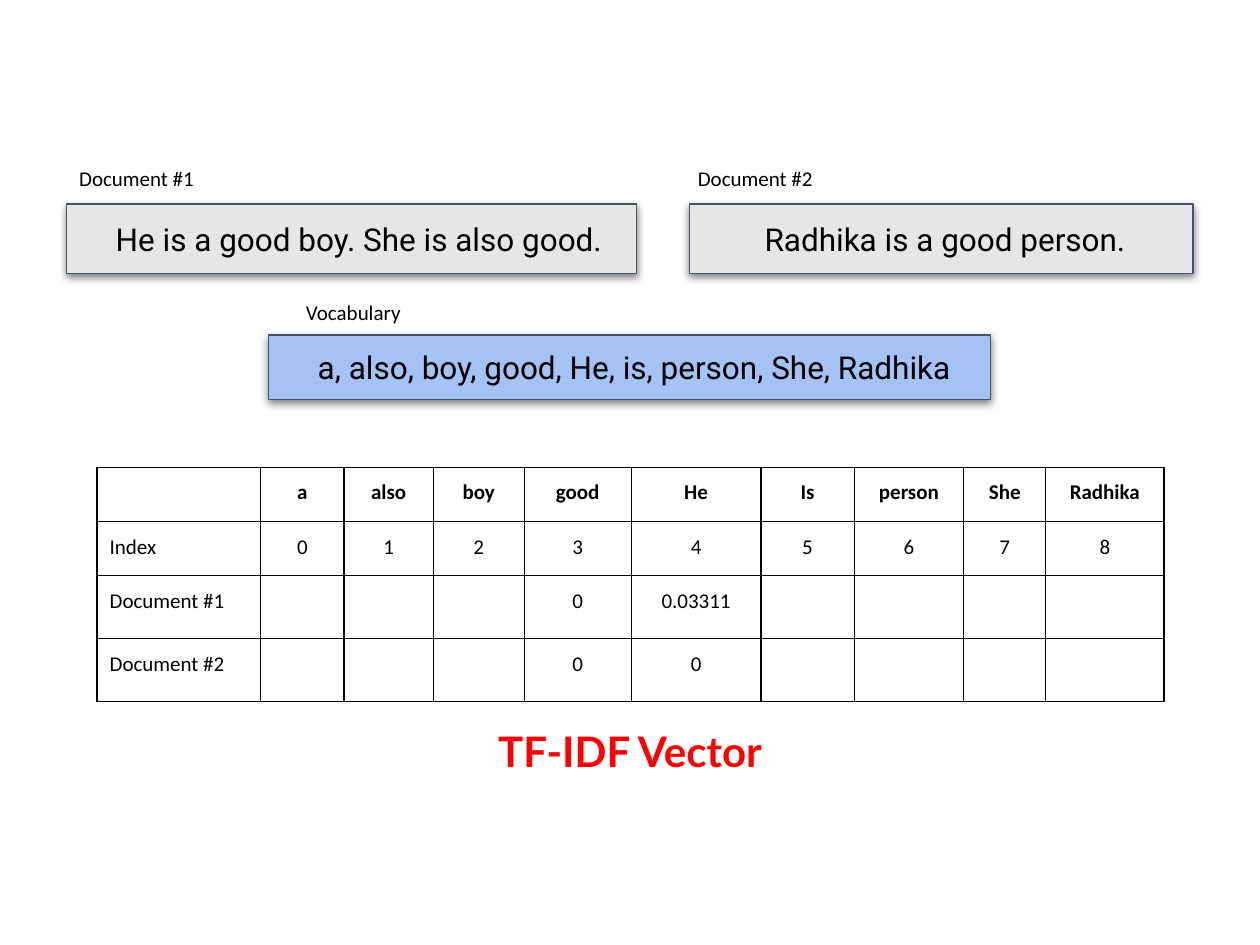
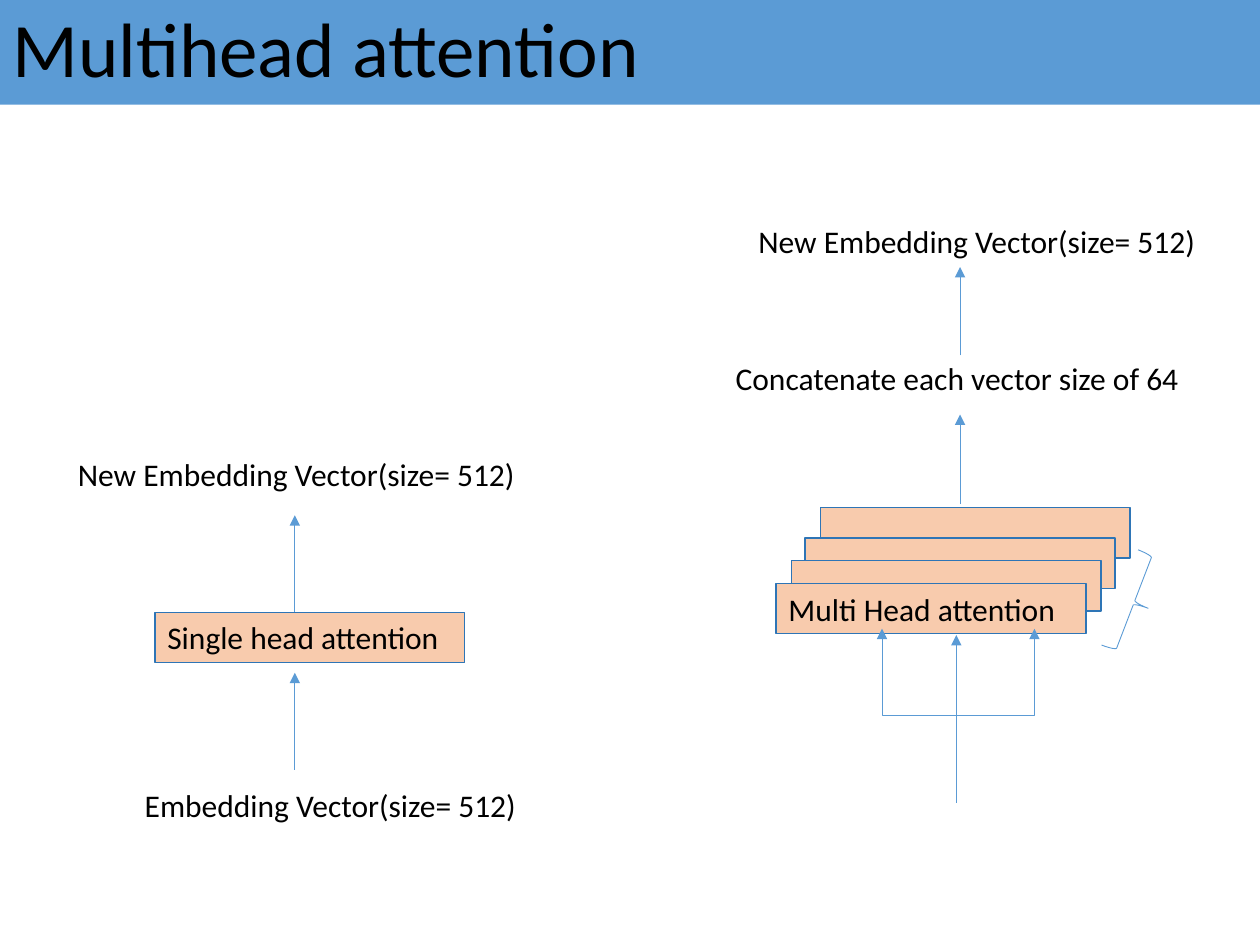
from lxml import etree
from pptx import Presentation
from pptx.dml.color import RGBColor
from pptx.enum.shapes import MSO_CONNECTOR, MSO_SHAPE
from pptx.enum.text import MSO_ANCHOR, PP_ALIGN
from pptx.oxml.ns import qn
from pptx.util import Inches, Pt

RECTANGLE, BRACE = MSO_SHAPE.RECTANGLE, MSO_SHAPE.RIGHT_BRACE
STRAIGHT, ELBOW = MSO_CONNECTOR.STRAIGHT, MSO_CONNECTOR.ELBOW
TOP, MIDDLE = MSO_ANCHOR.TOP, MSO_ANCHOR.MIDDLE
LEFT, CENTER = PP_ALIGN.LEFT, PP_ALIGN.CENTER

BLACK, RED = "000000", "FF0000"
BAND_BLUE, EDGE_BLUE, PEACH = "5B9BD5", "2E75B6", "F8CBAD"
GREY, PALE_BLUE, SLATE = "E7E6E6", "A4C2F4", "44546A"

CAPTION = {"size": Pt(12), "name": "Calibri", "bold": False}
HEADER = {**CAPTION, "bold": True}
SENTENCE = {"size": Pt(18), "name": "Roboto"}
LABEL = {"size": Pt(18), "name": "Calibri"}
TITLE = {"size": Pt(44), "name": "Calibri"}
RESULT = {"size": Pt(24), "name": "Lato", "bold": True}

COLUMN_WIDTHS = [1.3, 0.66, 0.71, 0.72, 0.85, 1.03, 0.74, 0.87, 0.65, 0.94]
ROW_HEIGHTS = [0.43, 0.43, 0.5, 0.5]
SCORES = [
    ["", "a", "also", "boy", "good", "He", "Is", "person", "She", "Radhika"],
    ["Index", *map(str, range(9))],
    ["Document #1", "", "", "", "0", "0.03311", "", "", "", ""],
    ["Document #2", "", "", "", "0", "0", "", "", "", ""],
]


def rgb(hex_color):
    """Turn a hex string into a colour."""
    return RGBColor.from_string(hex_color)


def set_line(line, color, width):
    """Give an outline its colour and width in points."""
    line.color.rgb = rgb(color)
    line.width = Pt(width)


def write(paragraph, text, font_format, color=BLACK, align=LEFT):
    """Write one formatted run into a paragraph."""
    paragraph.alignment = align
    run = paragraph.add_run()
    run.text = text
    for attribute, value in font_format.items():
        setattr(run.font, attribute, value)
    run.font.color.rgb = rgb(color)


def set_frame(frame, anchor=TOP, inset=0.1, wrap=True):
    """Set anchor, vertical and side insets, and wrapping of a text frame."""
    settings = {
        "vertical_anchor": anchor, "word_wrap": wrap,
        "margin_left": Inches(0.1), "margin_right": Inches(0.1),
        "margin_top": Inches(inset), "margin_bottom": Inches(inset),
    }
    for attribute, value in settings.items():
        setattr(frame, attribute, value)


def add_text(slide, at, text, font_format, color=BLACK, align=LEFT, **frame_settings):
    """Add a text box with one paragraph."""
    frame = slide.shapes.add_textbox(*map(Inches, at)).text_frame
    set_frame(frame, **frame_settings)
    write(frame.paragraphs[0], text, font_format, color, align)


def add_box(slide, at, fill, edge=None):
    """Add a filled rectangle, outlined if an edge colour is given."""
    box = slide.shapes.add_shape(RECTANGLE, *map(Inches, at))
    box.shadow.inherit = False
    box.fill.solid()
    box.fill.fore_color.rgb = rgb(fill)
    if edge:
        set_line(box.line, edge, 0.75)
    else:
        box.line.fill.background()
    return box


def add_sentence(slide, at, text, fill, indent, align=LEFT):
    """Add a shadowed box holding an indented sentence."""
    box = add_box(slide, at, fill, SLATE)
    effects = box._element.spPr.find(qn("a:effectLst"))
    shadow = etree.SubElement(effects, qn("a:outerShdw"), blurRad=str(Pt(4.5)),
                              dist=str(Pt(1.5)), dir="5400000", rotWithShape="0")
    shade = etree.SubElement(shadow, qn("a:srgbClr"), val=BLACK)
    etree.SubElement(shade, qn("a:alpha"), val="50000")
    set_frame(box.text_frame, MIDDLE)
    paragraph = box.text_frame.paragraphs[0]
    write(paragraph, text, SENTENCE, align=align)
    paragraph._p.get_or_add_pPr().set("indent", str(Inches(indent)))


def add_head(slide, left, top, text=""):
    """Add an attention head block, labelled if text is given."""
    head = add_box(slide, (left, top, 2.46, 0.4), PEACH, EDGE_BLUE)
    if text:
        set_frame(head.text_frame, inset=0.05)
        write(head.text_frame.paragraphs[0], text, LABEL)


def add_arrow(slide, start, end, kind=STRAIGHT):
    """Add a thin connector with an arrowhead at its end."""
    arrow = slide.shapes.add_connector(kind, *map(Inches, (*start, *end)))
    set_line(arrow.line, BAND_BLUE, 0.5)
    etree.SubElement(arrow.line._get_or_add_ln(), qn("a:tailEnd"), type="triangle")
    etree.SubElement(arrow._element.spPr, qn("a:effectLst"))
    return arrow


def add_branch(slide, start, end):
    """Add an elbow arrow that leaves upwards, by turning a sideways one."""
    (x1, y1), (x2, y2) = start, end
    middle_x, middle_y = (x1 + x2) / 2, (y1 + y2) / 2
    half_rise, half_shift = (y1 - y2) / 2, (x2 - x1) / 2
    branch = add_arrow(slide, (middle_x - half_rise, middle_y - half_shift),
                       (middle_x + half_rise, middle_y + half_shift), ELBOW)
    branch._element.spPr.find(qn("a:xfrm")).set("rot", "16200000")


def add_borders(cell):
    """Draw a black line on each side of a table cell."""
    properties = cell._tc.get_or_add_tcPr()
    for side in ("lnL", "lnR", "lnT", "lnB"):
        border = etree.SubElement(properties, qn(f"a:{side}"), w=str(Pt(0.75)))
        ink = etree.SubElement(border, qn("a:solidFill"))
        etree.SubElement(ink, qn("a:srgbClr"), val=BLACK)


def add_scores(slide, left, top):
    """Add the table of scores per word and document."""
    size = sum(COLUMN_WIDTHS), sum(ROW_HEIGHTS)
    table = slide.shapes.add_table(len(ROW_HEIGHTS), len(COLUMN_WIDTHS),
                                   *map(Inches, (left, top, *size))).table
    table.first_row = table.horz_banding = False
    for column, width in zip(table.columns, COLUMN_WIDTHS):
        column.width = Inches(width)
    for row_index, (row, height) in enumerate(zip(table.rows, ROW_HEIGHTS)):
        row.height = Inches(height)
        for column_index, text in enumerate(SCORES[row_index]):
            cell = row.cells[column_index]
            add_borders(cell)
            cell.fill.background()
            if text:
                cell.margin_top = cell.margin_bottom = Inches(0.1)
                write(cell.text_frame.paragraphs[0], text,
                      CAPTION if row_index else HEADER,
                      align=CENTER if column_index else LEFT)


def add_title(slide, text):
    """Add the blue title band."""
    band = add_box(slide, (0, -0.01, 10, 0.84), BAND_BLUE)
    set_frame(band.text_frame)
    paragraph = band.text_frame.paragraphs[0]
    paragraph.line_spacing = 0.9
    write(paragraph, text, TITLE)


def add_brace(slide, at, angle):
    """Add a turned brace beside the stacked heads."""
    brace = slide.shapes.add_shape(BRACE, *map(Inches, at))
    brace.shadow.inherit = False
    brace.fill.background()
    set_line(brace.line, BAND_BLUE, 0.5)
    brace.rotation = angle


def build_vector_slide(slide):
    """Show two documents, their vocabulary and the score table."""
    for left, top, caption in [(0.53, 1.21, "Document #1"), (5.44, 1.21, "Document #2"),
                               (2.33, 2.28, "Vocabulary")]:
        add_text(slide, (left, top, 4, 0.41), caption, CAPTION)
    add_sentence(slide, (0.53, 1.62, 4.52, 0.55),
                 "He is a good boy. She is also good.", GREY, 0.29)
    add_sentence(slide, (5.47, 1.62, 4, 0.55), "Radhika is a good person.", GREY, 0.5)
    add_sentence(slide, (2.13, 2.66, 5.73, 0.51),
                 "a, also, boy, good, He, is, person, She, Radhika", PALE_BLUE, 0.08, CENTER)
    add_scores(slide, 0.77, 3.71)
    add_text(slide, (1.03, 5.72, 7.94, 0.47), "TF-IDF Vector", RESULT, RED, CENTER,
             anchor=MIDDLE)


def build_attention_slide(slide):
    """Compare single head with multihead attention."""
    add_title(slide, "Multihead attention")
    add_head(slide, 1.23, 4.86, "Single head attention")
    for left, top in [(6.51, 4.03), (6.39, 4.27), (6.28, 4.45)]:
        add_head(slide, left, top)
    add_head(slide, 6.16, 4.63, "Multi Head attention")

    for x, bottom, top in [(2.34, 6.11, 5.34), (2.34, 4.86, 4.09), (7.59, 6.37, 5.04),
                           (7.62, 4, 3.29), (7.62, 2.82, 2.12)]:
        add_arrow(slide, (x, bottom), (x, top))
    for x in (7, 8.21):
        add_branch(slide, (7.59, 6.37), (x, 4.99))

    new_vector = "New Embedding Vector(size= 512)"
    for left, top, width, text in [(1.05, 6.19, 3.19, "Embedding Vector(size= 512)"),
                                   (0.52, 3.56, 3.71, new_vector),
                                   (5.92, 1.71, 3.71, new_vector),
                                   (5.74, 2.8, 3.76, "Concatenate each vector size of 64")]:
        add_text(slide, (left, top, width, 0.4), text, LABEL, inset=0.05, wrap=False)
    add_brace(slide, (8.88, 4.38, 0.24, 0.81), 21)


def main():
    """Build and save the two slides."""
    deck = Presentation()
    deck.slide_width, deck.slide_height = Inches(10), Inches(7.5)
    for build in (build_vector_slide, build_attention_slide):
        build(deck.slides.add_slide(deck.slide_layouts[6]))
    deck.save("out.pptx")


if __name__ == "__main__":
    main()
